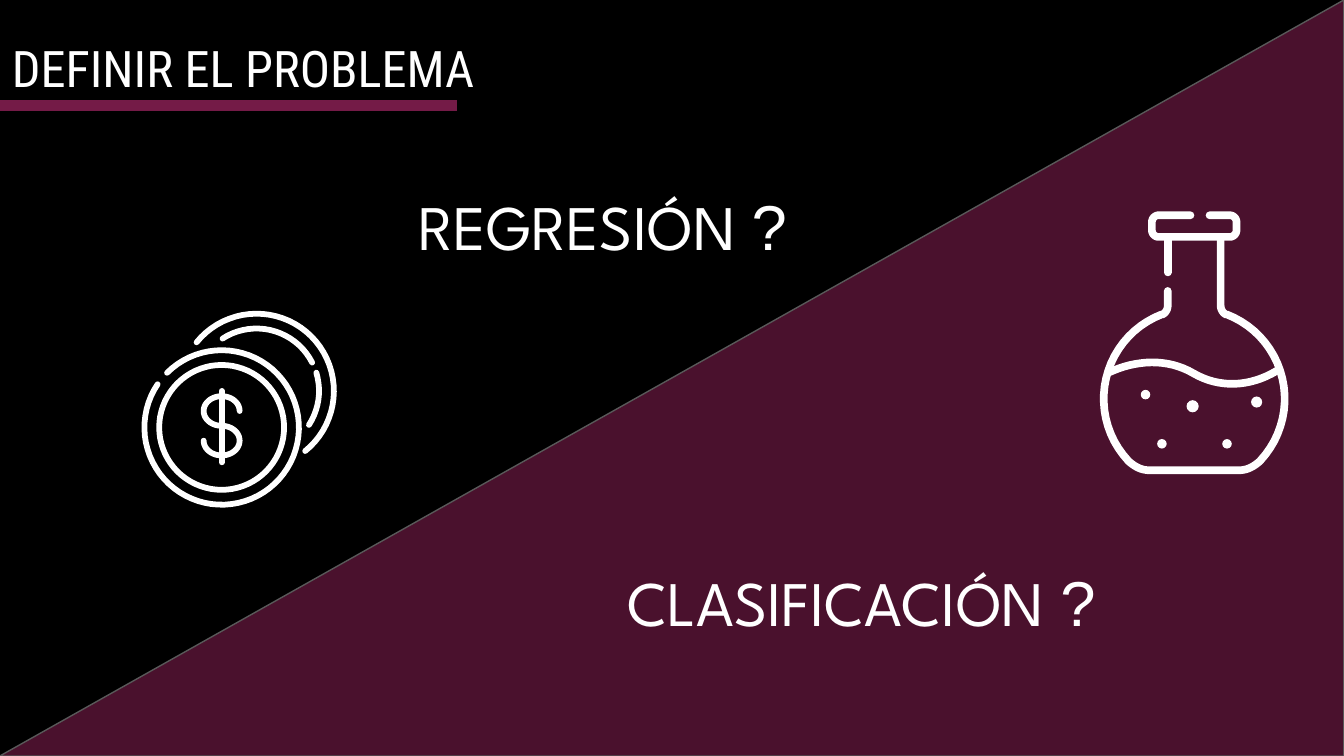
from dataclasses import dataclass
from math import cos, radians, sin

from lxml import etree
from pptx import Presentation
from pptx.dml.color import RGBColor
from pptx.enum.shapes import MSO_CONNECTOR, MSO_SHAPE
from pptx.enum.text import MSO_ANCHOR, PP_ALIGN
from pptx.oxml.ns import qn
from pptx.util import Cm, Pt

STRAIGHT = MSO_CONNECTOR.STRAIGHT
RIGHT_TRIANGLE = MSO_SHAPE.RIGHT_TRIANGLE
OVAL = MSO_SHAPE.OVAL
MIDDLE = MSO_ANCHOR.MIDDLE
CENTER = PP_ALIGN.CENTER


@dataclass(frozen=True)
class Theme:
    black: RGBColor = RGBColor(0x00, 0x00, 0x00)
    white: RGBColor = RGBColor(0xFF, 0xFF, 0xFF)
    plum: RGBColor = RGBColor(0x74, 0x1B, 0x47)
    grey: RGBColor = RGBColor(0x59, 0x59, 0x59)
    plum_opacity: int = 64
    title_font: str = "Roboto Condensed"
    option_font: str = "League Spartan"
    mark_font: str = "Arial"
    title_size: Pt = Pt(27)
    option_size: Pt = Pt(34)
    edge_width: Pt = Pt(0.75)
    rule_width: Pt = Pt(6)
    coin_stroke: Pt = Pt(3.1)
    flask_stroke: Pt = Pt(4.1)


THEME = Theme()
SLIDE_WIDTH, SLIDE_HEIGHT = Cm(25.4), Cm(14.29)


def arc(center, radius_x, start, end, radius_y=None):
    """Points of an arc, in cm; degrees run clockwise from the right."""
    radius_y = radius_y or radius_x
    steps = max(6, int(abs(end - start) / 5))
    angles = [radians(start + (end - start) * i / steps) for i in range(steps + 1)]
    return [(center[0] + radius_x * cos(a), center[1] + radius_y * sin(a)) for a in angles]


def curve(*controls, steps=16):
    """Points of a cubic Bézier curve, in cm."""
    points = []
    for i in range(steps + 1):
        t = i / steps
        weights = ((1 - t) ** 3, 3 * t * (1 - t) ** 2, 3 * t * t * (1 - t), t ** 3)
        points.append(tuple(sum(w * c[axis] for w, c in zip(weights, controls))
                            for axis in (0, 1)))
    return points


def add_stroke(group, width, *lines):
    """Draw one or more open lines, given in cm, as one round-ended outline."""
    emu_lines = [[(Cm(x), Cm(y)) for x, y in line] for line in lines]
    builder = group.shapes.build_freeform(*emu_lines[0][0])
    for index, line in enumerate(emu_lines):
        if index:
            builder.move_to(*line[0])
        builder.add_line_segments(line[1:], close=False)
    stroke = builder.convert_to_shape()
    stroke.shadow.inherit = False
    stroke.fill.background()
    stroke.line.color.rgb = THEME.white
    stroke.line.width = width
    stroke.line._get_or_add_ln().set("cap", "rnd")


def add_bubble(group, x, y, diameter):
    bubble = group.shapes.add_shape(OVAL, Cm(x - diameter / 2), Cm(y - diameter / 2),
                                    Cm(diameter), Cm(diameter))
    bubble.shadow.inherit = False
    bubble.fill.solid()
    bubble.fill.fore_color.rgb = THEME.white
    bubble.line.fill.background()


def add_diagonal_half(slide):
    half = slide.shapes.add_shape(RIGHT_TRIANGLE, 0, 0, SLIDE_WIDTH, SLIDE_HEIGHT)
    half.shadow.inherit = False
    half._element.spPr.find(qn("a:xfrm")).set("flipH", "1")
    half.fill.solid()
    half.fill.fore_color.rgb = THEME.plum
    color = half._element.spPr.find(qn("a:solidFill"))[0]
    etree.SubElement(color, qn("a:alpha")).set("val", str(THEME.plum_opacity * 1000))
    half.line.color.rgb = THEME.grey
    half.line.width = THEME.edge_width


def add_title_rule(slide):
    rule = slide.shapes.add_connector(STRAIGHT, 0, Cm(2), Cm(8.63), Cm(2))
    rule.line.color.rgb = THEME.plum
    rule.line.width = THEME.rule_width
    etree.SubElement(rule._element.spPr, qn("a:effectLst"))


def add_heading(slide, box, size, *pieces):
    """Add one centred line made of (text, font) pieces."""
    heading = slide.shapes.add_textbox(*(Cm(length) for length in box))
    frame = heading.text_frame
    frame.word_wrap = True
    frame.vertical_anchor = MIDDLE
    frame.margin_left = frame.margin_right = Cm(0.25)
    frame.margin_top = frame.margin_bottom = Cm(0.25)
    paragraph = frame.paragraphs[0]
    paragraph.alignment = CENTER
    for text, font in pieces:
        run = paragraph.add_run()
        run.text = text
        run.font.name = font
        run.font.size = size
        run.font.color.rgb = THEME.white


def add_option(slide, box, word):
    add_heading(slide, box, THEME.option_size,
                (word + " ", THEME.option_font), ("?", THEME.mark_font))


def add_coins(slide):
    coins = slide.shapes.add_group_shape()
    front, back = (4.19, 8.08), (4.85, 7.39)
    rim, inner = 1.46, 1.18
    for center, radius, start, end in (
        (front, rim, 225, 574),
        (front, inner, 0, 360),
        (back, rim, 219, 411),
        (back, inner, 343, 393),
        (back, inner, 237, 333),
    ):
        add_stroke(coins, THEME.coin_stroke, arc(center, radius, start, end))
    x = front[0]
    dollar_curve = (arc((x, 7.77), 0.34, 0, -270, 0.28)
                    + arc((x, 8.33), 0.34, -90, 180, 0.28))
    add_stroke(coins, THEME.coin_stroke, dollar_curve, [(x, 7.39), (x, 8.74)])


def add_flask(slide):
    flask = slide.shapes.add_group_shape()
    axis = 22.57

    def right_side(neck_top):
        return ([(23.07, neck_top)]
                + curve((23.07, 5.77), (23.07, 5.85), (23.11, 5.92), (23.18, 5.95))
                + arc((axis, 7.54), 1.71, -69, 43)
                + curve((23.82, 8.71), (23.7, 8.82), (23.57, 8.89), (23.42, 8.89)))

    left_side = [(2 * axis - x, y) for x, y in right_side(5.5)]
    body = right_side(4.5) + left_side[::-1]
    neck = [(22.07, 4.5), (22.07, 5.15)]
    rim = [(22.86, 4.07)]
    corners = ((23.24, 4.2), (23.24, 4.35), (21.9, 4.35), (21.9, 4.2))
    for quarter, corner in enumerate(corners):
        rim += arc(corner, 0.13, 90 * quarter - 90, 90 * quarter)
    rim.append((22.5, 4.07))
    liquid = (curve((20.96, 7.04), (21.46, 6.81), (22.05, 6.76), (22.56, 7.06))
              + curve((22.56, 7.06), (23.04, 7.34), (23.62, 7.32), (24.13, 7.01)))

    for bubble in ((23.75, 7.6, 0.21), (23.19, 8.39, 0.18), (21.65, 7.46, 0.18),
                   (21.96, 8.39, 0.18), (22.54, 7.68, 0.23)):
        add_bubble(flask, *bubble)
    add_stroke(flask, THEME.flask_stroke, body, neck, rim, liquid)


def main():
    deck = Presentation()
    deck.slide_width, deck.slide_height = SLIDE_WIDTH, SLIDE_HEIGHT
    slide = deck.slides.add_slide(deck.slide_layouts[6])
    slide.background.fill.solid()
    slide.background.fill.fore_color.rgb = THEME.black

    add_diagonal_half(slide)
    add_option(slide, (6.5, 2.49, 9.78, 3.53), "REGRESIÓN")
    add_title_rule(slide)
    add_option(slide, (10.67, 10.62, 11.23, 1.47), "CLASIFICACIÓN")
    add_heading(slide, (-1.02, 0.53, 11.23, 1.47), THEME.title_size,
                ("DEFINIR EL PROBLEMA", THEME.title_font))
    add_coins(slide)
    add_flask(slide)
    deck.save("out.pptx")


if __name__ == "__main__":
    main()
